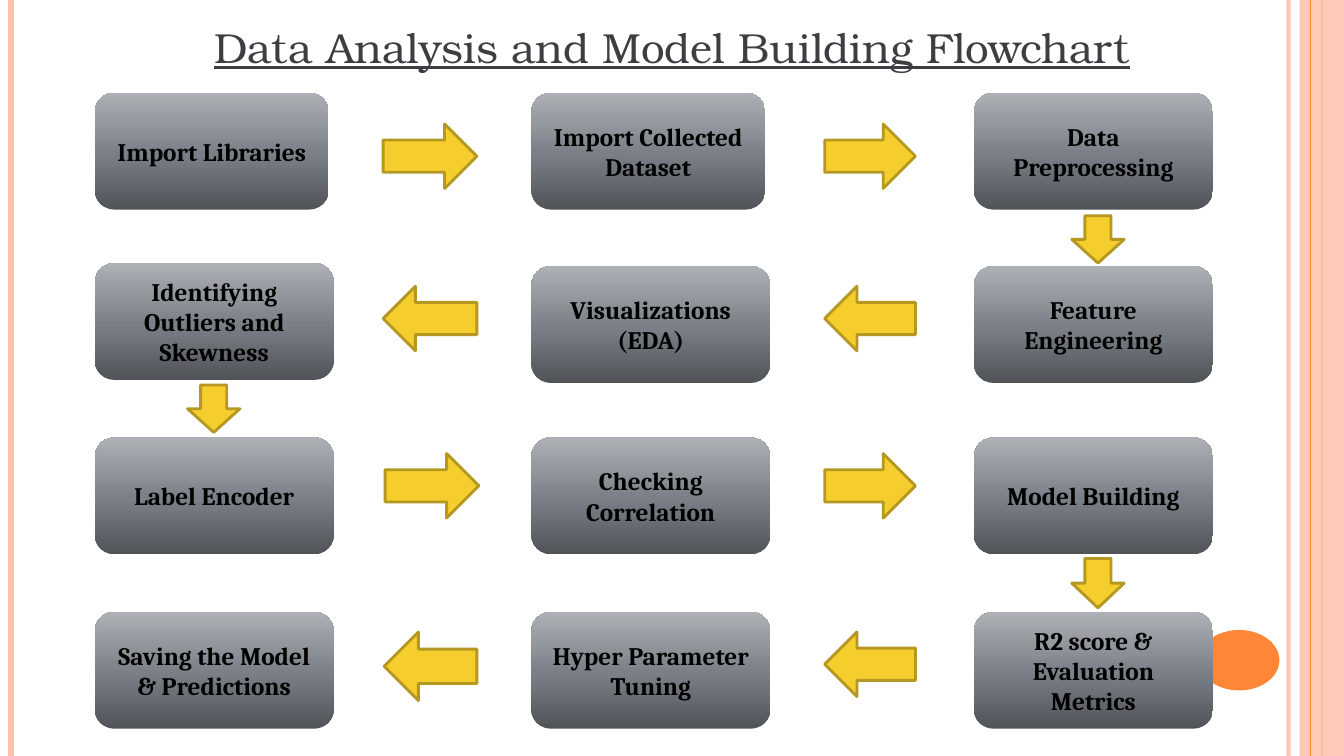
from copy import deepcopy
from dataclasses import dataclass

from lxml.etree import SubElement
from pptx import Presentation
from pptx.dml.color import RGBColor
from pptx.enum.shapes import MSO_CONNECTOR, MSO_SHAPE
from pptx.enum.text import MSO_ANCHOR, MSO_AUTO_SIZE, PP_ALIGN
from pptx.oxml.ns import qn
from pptx.util import Inches, Pt


@dataclass(frozen=True)
class Theme:
    peach: str = "FEC3AE"
    orange: str = "FE8637"
    ink: str = "3C3E42"
    black: str = "000000"
    gold: str = "F5CD2D"
    rim: str = "B59821"
    greys: tuple = ((0, "505358"), (0.48, "7B8088"), (1, "ADB0B5"))
    head: str = "TeX Gyre Bonum"
    body: str = "Cambria"
    big: int = 30
    small: int = 18


@dataclass(frozen=True)
class Rule:
    x: float
    color: str
    width: float
    alpha: int = 100


@dataclass(frozen=True)
class Step:
    text: str
    col: int
    row: int
    width: float = 2.37
    lift: float = 0


@dataclass(frozen=True)
class Arrow:
    kind: MSO_SHAPE
    x: float
    y: float
    width: float
    height: float = 0.64


THEME = Theme()
RIGHT, LEFT, DOWN = MSO_SHAPE.RIGHT_ARROW, MSO_SHAPE.LEFT_ARROW, MSO_SHAPE.DOWN_ARROW
COLS = (0.94, 5.27, 9.66)
ROWS = (0.92, 2.64, 4.34, 6.07)
TALL = 1.16

RULES = (
    Rule(12.78, THEME.peach, 3, 93),
    Rule(0.11, THEME.peach, 4.5),
    Rule(13.11, THEME.orange, 1.5),
)
EDGE = Rule(13, THEME.orange, 0.75)

ARROWS = (
    Arrow(RIGHT, 3.8, 1.23, 0.93),
    Arrow(RIGHT, 8.18, 1.23, 0.9),
    Arrow(DOWN, 10.63, 2.14, 0.52, 0.47),
    Arrow(LEFT, 8.18, 2.84, 0.9),
    Arrow(LEFT, 3.8, 2.84, 0.93),
    Arrow(DOWN, 1.86, 3.82, 0.52, 0.47),
    Arrow(RIGHT, 3.82, 4.5, 0.93),
    Arrow(RIGHT, 8.18, 4.5, 0.9),
    Arrow(DOWN, 10.63, 5.54, 0.52, 0.49),
    Arrow(LEFT, 8.18, 6.27, 0.9),
    Arrow(LEFT, 3.81, 6.27, 0.92, 0.68),
)

STEPS = (
    Step("Import Libraries", 0, 0, 2.32),
    Step("Import Collected Dataset", 1, 0, 2.32),
    Step("Data Preprocessing", 2, 0),
    Step("Feature Engineering", 2, 1),
    Step("Visualizations\n(EDA)", 1, 1),
    Step("Identifying Outliers and Skewness", 0, 1, lift=0.03),
    Step("Label Encoder", 0, 2),
    Step("Checking Correlation", 1, 2),
    Step("Model Building", 2, 2),
    Step("R2 score & Evaluation Metrics", 2, 3),
    Step("Hyper Parameter Tuning", 1, 3),
    Step("Saving the Model & Predictions", 0, 3),
)


def paint(color, code: str) -> None:
    color.rgb = RGBColor.from_string(code)


def fade(part, alpha: int) -> None:
    """Make the solid colour inside an XML part see-through."""
    tint = part.find(".//" + qn("a:srgbClr"))
    SubElement(tint, qn("a:alpha"), val=str(alpha * 1000))


def add_form(slide, kind: MSO_SHAPE, x: float, y: float, w: float, h: float):
    form = slide.shapes.add_shape(kind, Inches(x), Inches(y), Inches(w), Inches(h))
    form.shadow.inherit = False
    form.line.fill.background()
    return form


def add_block(slide, kind: MSO_SHAPE, box: tuple, code: str):
    form = add_form(slide, kind, *box)
    form.fill.solid()
    paint(form.fill.fore_color, code)
    return form


def add_rule(slide, rule: Rule) -> None:
    x = Inches(rule.x)
    line = slide.shapes.add_connector(MSO_CONNECTOR.STRAIGHT, x, 0, x, Inches(7.5))
    paint(line.line.color, rule.color)
    line.line.width = Pt(rule.width)
    props = line.element.spPr
    if rule.alpha < 100:
        fade(props, rule.alpha)
    SubElement(props, qn("a:effectLst"))


def add_title(slide, text: str) -> None:
    title = slide.shapes.title
    title.left, title.top = Inches(0), Inches(0.16)
    title.width, title.height = Inches(13.33), Inches(0.61)
    frame = title.text_frame
    frame.text = text
    frame.word_wrap = True
    frame.auto_size = MSO_AUTO_SIZE.NONE
    line = frame.paragraphs[0]
    line.alignment = PP_ALIGN.CENTER
    line.font.name, line.font.size = THEME.head, Pt(THEME.big)
    line.font.underline = True
    paint(line.font.color, THEME.ink)


def add_arrow(slide, arrow: Arrow) -> None:
    box = (arrow.x, arrow.y, arrow.width, arrow.height)
    form = add_block(slide, arrow.kind, box, THEME.gold)
    paint(form.line.color, THEME.rim)
    form.line.width = Pt(2)


def shade(form) -> None:
    """Fill a shape with the greys, dark at the foot."""
    form.fill.gradient()
    form.fill.gradient_angle = 90
    stops = form.element.spPr.find(".//" + qn("a:gsLst"))
    stops.insert(1, deepcopy(stops[0]))
    for stop, (place, code) in zip(form.fill.gradient_stops, THEME.greys):
        stop.position = place
        paint(stop.color, code)


def add_step(slide, step: Step) -> None:
    form = add_form(slide, MSO_SHAPE.FLOWCHART_ALTERNATE_PROCESS,
                    COLS[step.col], ROWS[step.row] - step.lift, step.width, TALL)
    shade(form)
    frame = form.text_frame
    frame.text = step.text
    frame.word_wrap = True
    frame.vertical_anchor = MSO_ANCHOR.MIDDLE
    for line in frame.paragraphs:
        line.alignment = PP_ALIGN.CENTER
        line.font.name, line.font.size = THEME.body, Pt(THEME.small)
        line.font.bold = True
        paint(line.font.color, THEME.black)


def main() -> None:
    deck = Presentation()
    deck.slide_width, deck.slide_height = Inches(13.33), Inches(7.5)
    slide = deck.slides.add_slide(deck.slide_layouts[5])

    # Side trim
    for rule in RULES:
        add_rule(slide, rule)
    band = add_block(slide, MSO_SHAPE.RECTANGLE, (12.89, 0, 0.44, 7.5), THEME.peach)
    fade(band.element.spPr, 87)
    add_rule(slide, EDGE)
    add_block(slide, MSO_SHAPE.OVAL, (11.89, 6.25, 0.8, 0.6), THEME.orange)

    # Title and flow
    add_title(slide, "Data Analysis and Model Building Flowchart")
    for arrow in ARROWS:
        add_arrow(slide, arrow)
    for step in STEPS:
        add_step(slide, step)

    deck.save("out.pptx")


if __name__ == "__main__":
    main()
